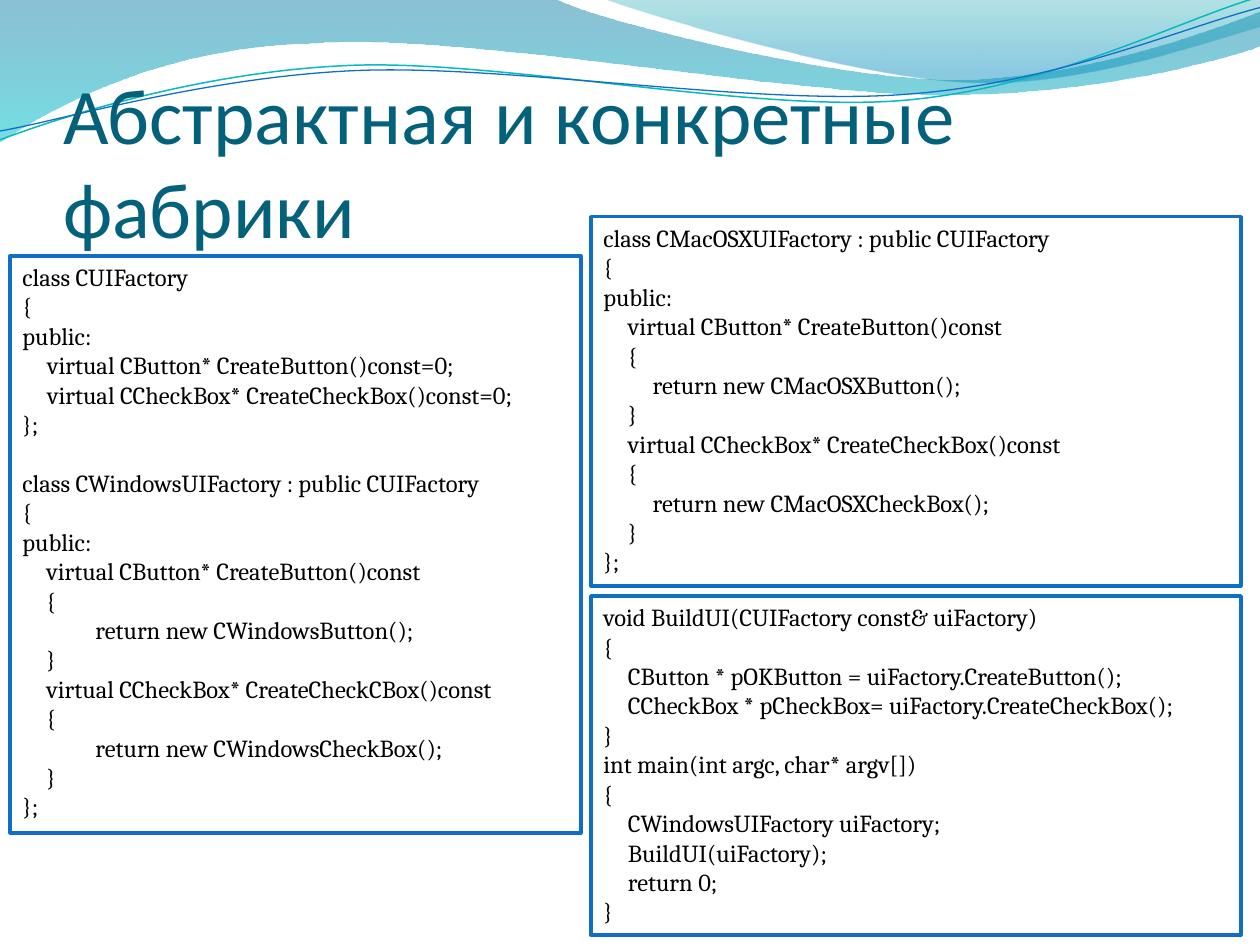
from math import cos, radians, sin

from lxml import etree
from pptx import Presentation
from pptx.dml.color import RGBColor
from pptx.enum.shapes import MSO_SHAPE
from pptx.enum.text import MSO_ANCHOR, MSO_AUTO_SIZE, PP_ALIGN
from pptx.oxml.ns import qn
from pptx.util import Inches, Pt

RECT = MSO_SHAPE.RECTANGLE
TOP, BOTTOM = MSO_ANCHOR.TOP, MSO_ANCHOR.BOTTOM
LEFT = PP_ALIGN.LEFT
NO_FIT, GROW = MSO_AUTO_SIZE.NONE, MSO_AUTO_SIZE.SHAPE_TO_FIT_TEXT
COLORS = {
    "title": "04617B", "code": "000000", "border": "0F6FC6", "thread": "0AB8BF",
    "sea": "0074A1", "aqua": "00C6CF", "teal": "00A1A9", "sky": "008BBF",
}


def rgb(name):
    return RGBColor.from_string(COLORS[name])


class Deck:
    title_font, code_font = "Calibri", "Cambria"
    title_size, code_size = Pt(45), Pt(14)
    class_gap = Pt(16.8)

    def __init__(self, prs):
        self.slide = prs.slides.add_slide(prs.slide_layouts[5])
        self.shapes = self.slide.shapes

    def curve(self, box, segments, rotation=0, close=False):
        left, top, width, height = box
        cx, cy = left + width / 2, top + height / 2
        turn = radians(-rotation)
        builder = self.shapes.build_freeform(Inches(left), Inches(top))
        builder.add_line_segments([(Inches(left + width), Inches(top + height))], close=False)
        sp = builder.convert_to_shape()
        sp.shadow.inherit = False
        sp.left, sp.top, sp.width, sp.height = map(Inches, box)
        sp.rotation = rotation
        outline = next(sp._element.iter(qn("a:path")))
        for child in list(outline):
            outline.remove(child)
        outline.set("w", str(Inches(width)))
        outline.set("h", str(Inches(height)))
        for i, seg in enumerate(segments):
            tag = "a:moveTo" if i == 0 else "a:lnTo" if len(seg) == 2 else "a:cubicBezTo"
            command = etree.SubElement(outline, qn(tag))
            for x, y in zip(seg[::2], seg[1::2]):
                dx, dy = x - cx, y - cy
                px = cx + dx * cos(turn) - dy * sin(turn) - left
                py = cy + dx * sin(turn) + dy * cos(turn) - top
                etree.SubElement(command, qn("a:pt"), x=str(Inches(px)), y=str(Inches(py)))
        if close:
            etree.SubElement(outline, qn("a:close"))
        return sp

    def wave(self, box, segments, stops):
        sp = self.curve(box, segments, close=True)
        sp.line.fill.background()
        sp.fill.gradient()
        sp.fill.gradient_angle = 270
        for stop, (position, color, _) in zip(sp.fill.gradient_stops, stops):
            stop.position = position
            stop.color.rgb = rgb(color)
        tags = sp._element.spPr.iter(qn("a:srgbClr"))
        for tag, (_, _, opacity) in zip(tags, stops):
            etree.SubElement(tag, qn("a:alpha"), val=str(opacity * 1000))

    def strand(self, box, segments, color, width):
        sp = self.curve(box, segments, rotation=357.3)
        sp.fill.background()
        sp.line.color.rgb = rgb(color)
        sp.line.width = Pt(width)

    def style(self, p, font, size, color):
        p.alignment = LEFT
        for r in p.runs:
            r.font.name = font
            r.font.size = size
            r.font.color.rgb = rgb(color)

    def title(self, text, box):
        sp = self.shapes.title
        sp.left, sp.top, sp.width, sp.height = map(Inches, box)
        self.shapes._spTree.append(sp._element)
        tf = sp.text_frame
        tf.text = text
        tf.word_wrap = True
        tf.auto_size = NO_FIT
        tf.vertical_anchor = BOTTOM
        tf.margin_left = tf.margin_right = tf.margin_bottom = 0
        tf.margin_top = Inches(0.05)
        self.style(tf.paragraphs[0], self.title_font, self.title_size, "title")

    def code(self, box, *classes):
        sp = self.shapes.add_shape(RECT, *map(Inches, box))
        sp.shadow.inherit = False
        sp.fill.background()
        sp.line.color.rgb = rgb("border")
        sp.line.width = Pt(2)
        tf = sp.text_frame
        tf.word_wrap = True
        tf.auto_size = GROW
        tf.vertical_anchor = TOP
        tf.text = "\n".join(text for text, _ in classes)
        paragraphs = iter(tf.paragraphs)
        for i, (text, tabs) in enumerate(classes):
            for row, line in enumerate(text.split("\n")):
                p = next(paragraphs)
                self.style(p, self.code_font, self.code_size, "code")
                if i and not row:
                    p.space_before = self.class_gap
                if "\t" in line:
                    stops = etree.SubElement(p._p.get_or_add_pPr(), qn("a:tabLst"))
                    for tab in tabs:
                        etree.SubElement(stops, qn("a:tab"), pos=str(tab), algn="l")


BASE = """class CUIFactory
{
public:
\tvirtual CButton* CreateButton()const=0;
\tvirtual CCheckBox* CreateCheckBox()const=0;
};"""

FACTORY = """class C{0}UIFactory : public CUIFactory
{{
public:
\tvirtual CButton* CreateButton()const
\t{{
\t\treturn new C{0}Button();
\t}}
\tvirtual CCheckBox* {1}()const
\t{{
\t\treturn new C{0}CheckBox();
\t}}
}};"""

CLIENT = """void BuildUI(CUIFactory const& uiFactory)
{
\tCButton * pOKButton = uiFactory.CreateButton();
\tCCheckBox * pCheckBox= uiFactory.CreateCheckBox();
}
int main(int argc, char* argv[])
{
\tCWindowsUIFactory uiFactory;
\tBuildUI(uiFactory);
\treturn 0;
}"""

NARROW_TABS = Pt(14.1), Pt(28.2)
WIDE_TABS = Inches(0.19), Inches(0.58)

prs = Presentation()
prs.slide_width, prs.slide_height = Inches(10), Inches(7.5)
deck = Deck(prs)

deck.wave((-0.01, -0.01, 10.02, 1.14),
          [(0, 0), (4.4, -0.01), (4.76, 0.17, 6.64, 0.63, 7.58, 0.63),
           (8.53, 0.63, 9.58, 0.26, 10, 0.09), (10.01, 0.36),
           (9.83, 0.44, 8.7, 0.76, 7.46, 0.75),
           (6.22, 0.75, 3.82, 0.28, 2.57, 0.34),
           (1.29, 0.36, 0.46, 0.83, -0.01, 1.13), (0, 0)],
          [(0, "sea", 45), (1, "aqua", 55)])
deck.wave((4.79, -0.01, 5.21, 0.7),
          [(4.79, -0.01), (5.09, 0.11, 6.82, 0.62, 7.69, 0.65),
           (8.56, 0.69, 9.61, 0.32, 10, 0.21), (10, 0), (4.79, -0.01)],
          [(0, "teal", 30), (0.8, "sky", 45)])
deck.strand((-0.02, 0.22, 10.02, 0.71),
            [(0, 1.11), (0.48, 0.93, 1.58, 0.57, 2.77, 0.52),
             (3.95, 0.47, 5.93, 0.89, 7.13, 0.8),
             (8.33, 0.71, 9.38, 0.15, 9.98, -0.02)], "thread", 0.85)
deck.strand((-0.02, 0.3, 10.03, 0.58),
            [(0, 1.04), (0.47, 0.96, 1.64, 0.61, 2.83, 0.56),
             (4.03, 0.51, 5.97, 0.84, 7.17, 0.75),
             (8.36, 0.67, 9.41, 0.21, 10, 0.06)], "border", 0.75)

deck.title("Абстрактная и конкретные фабрики", (0.5, 0.77, 9.08, 1.25))
deck.code((0.08, 2.03, 4.53, 4.58), (BASE, NARROW_TABS),
          (FACTORY.format("Windows", "CreateCheckCBox"), WIDE_TABS))
deck.code((4.69, 1.72, 5.16, 2.93),
          (FACTORY.format("MacOSX", "CreateCheckBox"), NARROW_TABS))
deck.code((4.69, 4.73, 5.16, 2.69), (CLIENT, NARROW_TABS))

prs.save("out.pptx")
